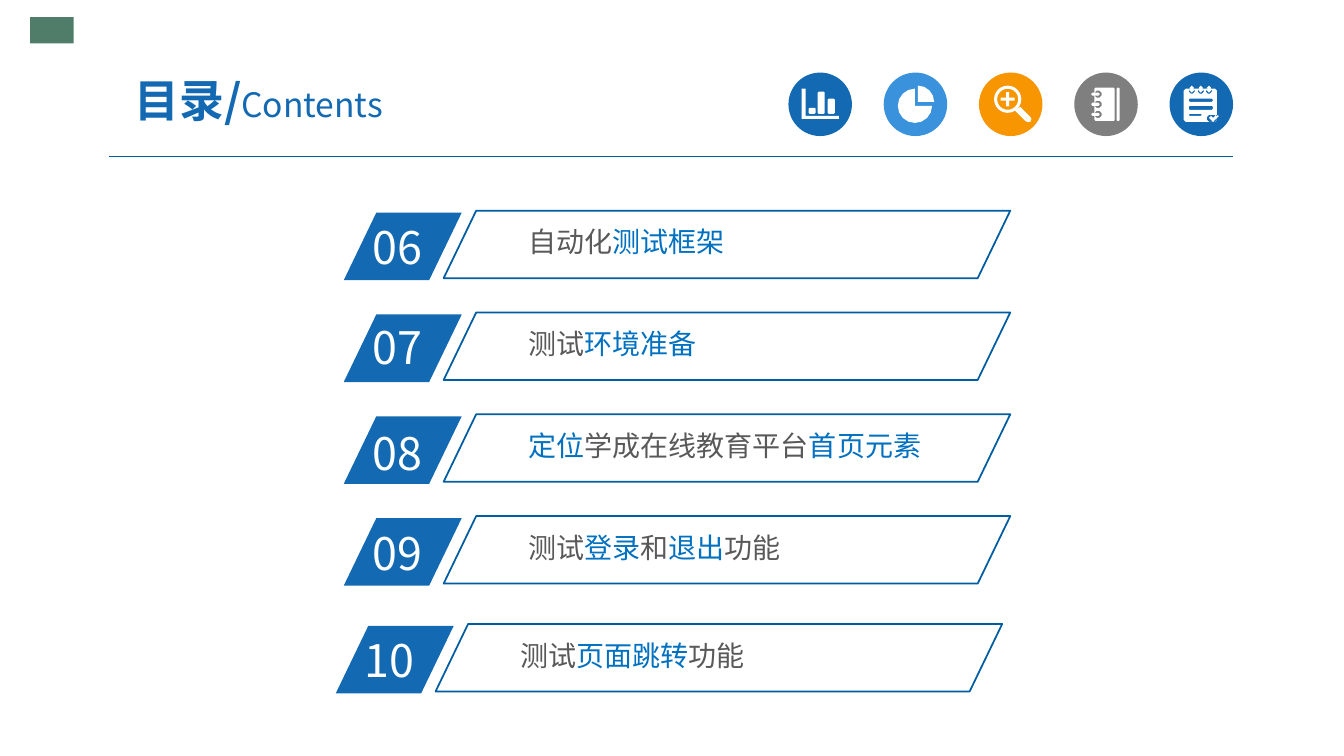
import math
from dataclasses import dataclass

from lxml import etree
from pptx import Presentation
from pptx import util as u
from pptx.dml.color import RGBColor
from pptx.enum import shapes, text
from pptx.oxml.ns import qn

SHAPE = shapes.MSO_SHAPE


@dataclass(frozen=True)
class Theme:
    font: str = "Noto Sans CJK SC"
    blue: str = "1369B2"
    sky: str = "3992DB"
    orange: str = "F79600"
    gray: str = "7F7F7F"
    green: str = "4F7D6A"
    white: str = "FFFFFF"
    ink: str = "595959"
    accent: str = "0070C0"
    outline: str = "005DA2"
    rule: str = "005B9E"
    title_size: int = 32
    subtitle_size: int = 24
    number_size: int = 32
    label_size: int = 20


THEME = Theme()


def rgb(code):
    return RGBColor.from_string(code)


def paint(shape, fill=None, line=None, width=1.25):
    shape.shadow.inherit = False
    if fill:
        shape.fill.solid()
        shape.fill.fore_color.rgb = rgb(fill)
    else:
        shape.fill.background()
    if line:
        shape.line.color.rgb = rgb(line)
        shape.line.width = u.Pt(width)
    else:
        shape.line.fill.background()


def add_preset(page, kind, box, **look):
    shape = page.shapes.add_shape(kind, *map(u.Inches, box))
    paint(shape, **look)
    return shape


def add_text(page, box, spans, size, margins=(0.1, 0.05)):
    """Place one paragraph of (wording, colour) spans and return it with its frame."""
    frame = page.shapes.add_textbox(*map(u.Inches, box)).text_frame
    frame.word_wrap = True
    frame.margin_left = frame.margin_right = u.Inches(margins[0])
    frame.margin_top = frame.margin_bottom = u.Inches(margins[1])
    para = frame.paragraphs[0]
    para.font.name = THEME.font
    para.font.size = u.Pt(size)
    properties = para.font._element
    etree.SubElement(properties, qn("a:ea")).set("typeface", THEME.font)
    for wording, color in spans:
        span = para.add_run()
        span.text = wording
        span.font.color.rgb = rgb(color)
    return para, frame


def arc(x, y, radius, start, end, steps):
    angles = [math.radians(start + (end - start) * i / steps) for i in range(steps + 1)]
    return [(x + radius * math.cos(a), y + radius * math.sin(a)) for a in angles]


def rounded(x, y, width, height, radius=0.01, steps=1):
    right, bottom = x + width - radius, y + height - radius
    return (arc(x + radius, y + radius, radius, 180, 270, steps)
            + arc(right, y + radius, radius, 270, 360, steps)
            + arc(right, bottom, radius, 0, 90, steps)
            + arc(x + radius, bottom, radius, 90, 180, steps))


def chart_icon():
    axis = [(0.13, 0.16), (0.17, 0.16), (0.17, 0.43), (0.5, 0.43), (0.5, 0.46), (0.13, 0.46)]
    bars = [(0.2, 0.35), (0.29, 0.19), (0.39, 0.26)]
    return [axis] + [rounded(x, y, 0.07, 0.41 - y) for x, y in bars]


def pie_icon():
    return [[(0.31, 0.33)] + arc(0.31, 0.33, 0.17, 0, 270, 12),
            [(0.34, 0.29)] + arc(0.34, 0.29, 0.16, 270, 360, 4)]


def magnifier_icon():
    x, y, arm, half = 0.285, 0.265, 0.07, 0.015
    plus = [(-arm, -half), (-half, -half), (-half, -arm), (half, -arm),
            (half, -half), (arm, -half), (arm, half), (half, half),
            (half, arm), (-half, arm), (-half, half), (-arm, half)]
    handle = [(0.36, 0.38), (0.41, 0.34), (0.51, 0.44), (0.52, 0.46),
              (0.51, 0.49), (0.48, 0.49), (0.46, 0.48)]
    return [arc(x, y, 0.135, 0, 345, 23), arc(x, y, 0.105, 0, 340, 17),
            [(x + dx, y + dy) for dx, dy in plus], handle]


def notebook_icon():
    outlines = [rounded(0.2, 0.15, 0.2, 0.33), rounded(0.42, 0.15, 0.03, 0.33)]
    for y in (0.21, 0.31, 0.41):
        outlines += [rounded(0.2, y - 0.03, 0.07, 0.07, 0.02),
                     rounded(0.17, y - 0.01, 0.08, 0.03)]
    return outlines


def checklist_icon():
    outlines = [rounded(0.14, 0.16, 0.33, 0.33, 0.02), rounded(0.19, 0.26, 0.24, 0.03),
                rounded(0.19, 0.33, 0.24, 0.04), rounded(0.19, 0.41, 0.13, 0.02)]
    for x in (0.22, 0.31, 0.39):
        outlines += [rounded(x - 0.03, 0.16, 0.06, 0.05, 0.02),
                     rounded(x - 0.02, 0.13, 0.04, 0.07, 0.02)]
    check = [(0.39, 0.45), (0.41, 0.43), (0.43, 0.45), (0.46, 0.42), (0.49, 0.43), (0.43, 0.49)]
    return outlines + [rounded(0.37, 0.42, 0.1, 0.07, 0.02), check]


def add_icon(page, box, color, outlines):
    """Draw a coloured disc with a white symbol; nested outlines become holes."""
    add_preset(page, SHAPE.OVAL, box, fill=color)
    left, top = box[:2]
    builder = None
    for outline in outlines:
        points = [(u.Inches(left + x), u.Inches(top + y)) for x, y in outline]
        if builder is None:
            builder = page.shapes.build_freeform(*points[0])
        else:
            builder.move_to(*points[0])
        builder.add_line_segments(points[1:], close=True)
    paint(builder.convert_to_shape(), fill=THEME.white)


def add_header(page, box):
    left, top, width, height = box
    add_preset(page, SHAPE.RECTANGLE, (0.3, 0.17, 0.43, 0.26), fill=THEME.green)
    rule_y = u.Inches(top + height)
    rule = page.shapes.add_connector(shapes.MSO_CONNECTOR.STRAIGHT, u.Inches(left), rule_y,
                                     u.Inches(left + width), rule_y)
    rule.line.color.rgb = rgb(THEME.rule)
    rule.line.width = u.Pt(0.75)
    etree.SubElement(rule._element.spPr, qn("a:effectLst"))

    disc, pitch = 0.63, 0.945
    icons = [(THEME.blue, chart_icon), (THEME.sky, pie_icon), (THEME.orange, magnifier_icon),
             (THEME.gray, notebook_icon), (THEME.blue, checklist_icon)]
    first = left + width - disc - pitch * (len(icons) - 1)
    for index, (color, symbol) in enumerate(icons):
        add_icon(page, (first + index * pitch, top + 0.09, disc, disc), color, symbol())

    para, frame = add_text(page, (left - 0.16, top, 3.29, 0.72),
                           [("目录/", THEME.blue), ("Contents", THEME.blue)],
                           THEME.title_size, (0.13, 0.07))
    frame.vertical_anchor = text.MSO_ANCHOR.MIDDLE
    para.alignment = text.PP_ALIGN.CENTER
    heading, subtitle = para.runs
    heading.font.bold = True
    subtitle.font.size = u.Pt(THEME.subtitle_size)


def add_entry(page, box, number, drop, spans):
    """Place a numbered entry whose number sits the given drop below the top."""
    left, top, width, height = box
    tile = add_preset(page, SHAPE.PARALLELOGRAM, (left, top + 0.02, 1.17, height), fill=THEME.blue)
    labels = [
        add_text(page, (left + 0.19, top + drop, 1.12, 0.64), [(number, THEME.white)],
                 THEME.number_size),
        add_text(page, (left + 1.76, top + 0.1, 4.12, 0.41), spans, THEME.label_size,
                 (0.07, 0.04)),
    ]
    for _, label_frame in labels:
        label_frame.auto_size = text.MSO_AUTO_SIZE.SHAPE_TO_FIT_TEXT
    frame = add_preset(page, SHAPE.PARALLELOGRAM, (left + 0.99, top, width - 0.99, height),
                       line=THEME.outline)
    for slanted in (tile, frame):
        slanted.adjustments[0] = 0.482


def add_contents(page, box):
    left, top, width, height = box
    ink, accent = THEME.ink, THEME.accent
    entries = [
        (0.04, [("自动化", ink), ("测试框架", accent)]),
        (0.02, [("测试", ink), ("环境准备", accent)]),
        (0.06, [("定位", accent), ("学成在线教育平台", ink), ("首页元素", accent)]),
        (0.05, [("测试", ink), ("登录", accent), ("和", ink), ("退出", accent), ("功能", ink)]),
        (0.04, [("测试", ink), ("页面跳转", accent), ("功能", ink)]),
    ]
    row_height = 0.67
    last = len(entries) - 1
    for index, (drop, spans) in enumerate(entries):
        row = (left, top + index * 1.01, width, row_height)
        if index == last:
            row = (left - 0.08, top + height - row_height, width, row_height)
        add_entry(page, row, f"{index + 6:02d}", drop, spans)


def main():
    deck = Presentation()
    deck.slide_width, deck.slide_height = u.Inches(13.33), u.Inches(7.5)
    page = deck.slides.add_slide(deck.slide_layouts[6])
    add_header(page, (1.08, 0.63, 11.15, 0.92))
    add_contents(page, (3.41, 2.09, 6.61, 4.77))
    deck.save("out.pptx")


if __name__ == "__main__":
    main()
